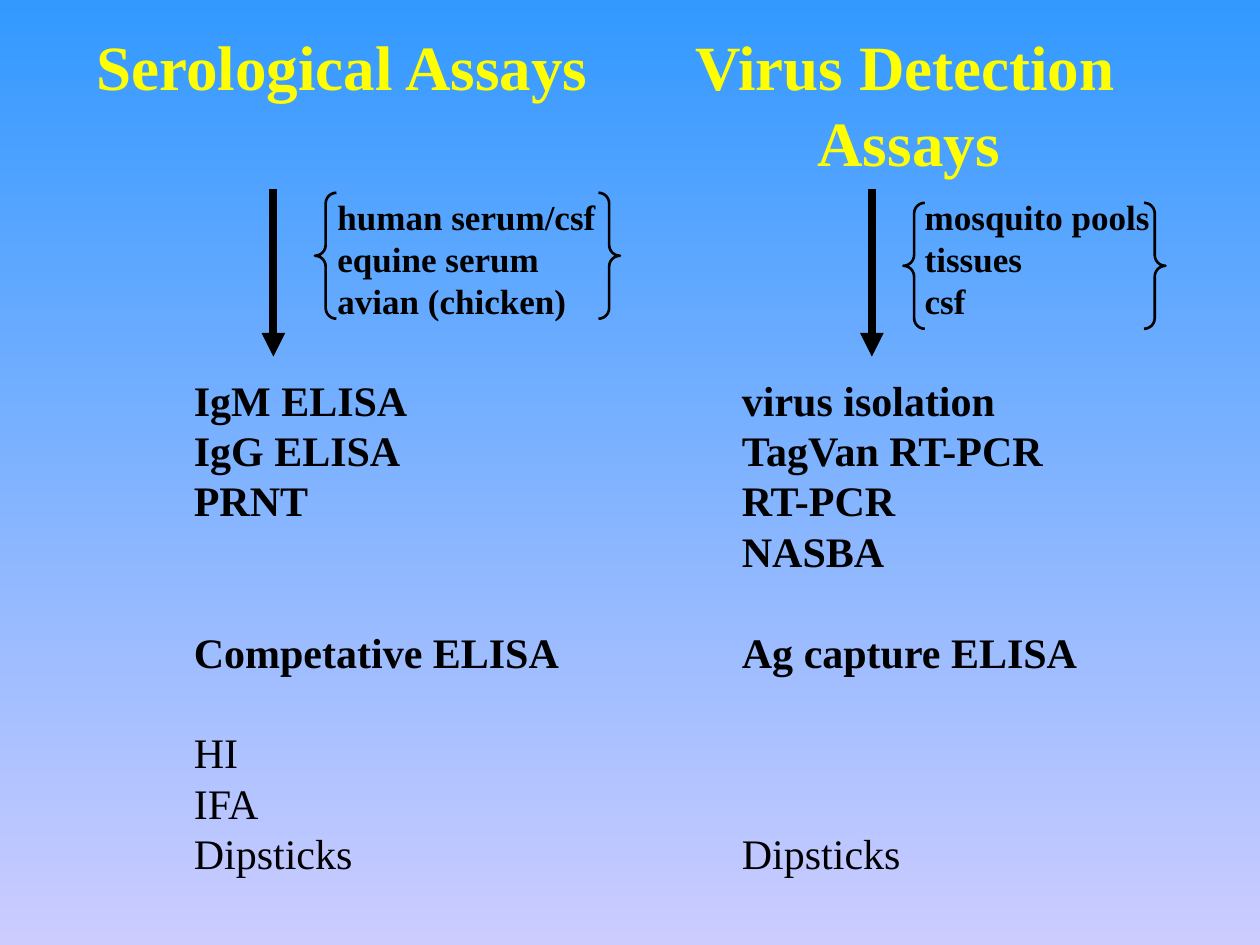
from pptx import Presentation
from pptx.dml.color import RGBColor
from pptx.enum.shapes import MSO_CONNECTOR, MSO_SHAPE
from pptx.enum.text import MSO_AUTO_SIZE
from pptx.oxml.ns import qn
from pptx.util import Inches, Pt
from lxml.etree import SubElement

BLACK, YELLOW = "000000", "FFFF00"
SKY, LILAC = "3399FF", "CCCCFF"
LINE_PITCH = 1.2
TEXT_TOP = {"heading": 0.17, "samples": 1.5, "assays": 2.92}
FORMATS = {
    "heading": {"size": Pt(36), "bold": True, "color": YELLOW},
    "samples": {"size": Pt(20), "bold": True, "color": BLACK},
    "assays": {"size": Pt(24), "bold": True, "color": BLACK},
}
ARROW_TOP, ARROW_BOTTOM = 1.5, 2.83
BRACE_WIDTH, BRACE_HEIGHT = 0.17, 1

# Each text is (left, width, lines); a line is (row, text) with optional format values
COLUMNS = [
    {
        "heading": (0.67, 4.13, [(0, "Serological Assays")]),
        "samples": (2.58, 2.25, [(0, "human serum/csf"), (1, "equine serum"),
                                 (2, "avian (chicken)")]),
        "assays": (1.44, 3.1, [(0, "IgM ELISA"), (1, "IgG ELISA"), (2, "PRNT"),
                               (5, "Competative ELISA"),
                               (7, "HI", {"bold": False}),
                               (8, "IFA", {"bold": False}),
                               (9, "Dipsticks", {"bold": False})]),
        "arrow": 2.17, "braces": (2.5, 4.75), "brace_top": 1.53,
    },
    {
        "heading": (5.42, 3.54, [(0, "Virus Detection"),
                                 (1, "Assays", {"indent": 0.97})]),
        "samples": (7.24, 2.05, [(0, "mosquito pools"), (1, "tissues"), (2, "csf")]),
        "assays": (5.79, 2.86, [(0, "virus isolation"), (1, "TagVan RT-PCR"),
                                (2, "RT-PCR"), (3, "NASBA"),
                                (5, "Ag capture ELISA"),
                                (9, "Dipsticks", {"bold": False})]),
        "arrow": 6.92, "braces": (7.17, 9.08), "brace_top": 1.61,
    },
]


def rgb(value):
    return RGBColor.from_string(value)


def add_text(slide, kind, left, width, lines):
    base = FORMATS[kind]
    pitch = base["size"].pt * LINE_PITCH
    row_count = lines[-1][0] + 1
    box = slide.shapes.add_textbox(Inches(left), Inches(TEXT_TOP[kind]), Inches(width),
                                   Inches(0.1 + row_count * pitch / 72))
    frame = box.text_frame
    frame.word_wrap = False
    frame.auto_size = MSO_AUTO_SIZE.SHAPE_TO_FIT_TEXT
    next_row = 0
    for row, text, *extra in lines:
        style = {**base, **(extra[0] if extra else {})}
        paragraph = frame.add_paragraph() if next_row else frame.paragraphs[0]
        if "indent" in style:
            properties = paragraph._p.get_or_add_pPr()
            properties.set("marL", str(Inches(style["indent"])))
            properties.set("indent", "0")
        paragraph.line_spacing = Pt(pitch)
        paragraph.space_before = Pt((row - next_row) * pitch)
        run = paragraph.add_run()
        run.text = text
        run.font.name = "Times New Roman"
        for name in ("size", "bold"):
            setattr(run.font, name, style[name])
        run.font.color.rgb = rgb(style["color"])
        next_row = row + 1


def add_brace(slide, preset, left, top):
    brace = slide.shapes.add_shape(preset, Inches(left), Inches(top),
                                   Inches(BRACE_WIDTH), Inches(BRACE_HEIGHT))
    brace.shadow.inherit = False
    brace.adjustments[0] = 0.5
    brace.fill.background()
    brace.line.color.rgb = rgb(BLACK)
    brace.line.width = Pt(1.5)


def add_arrow(slide, x):
    arrow = slide.shapes.add_connector(MSO_CONNECTOR.STRAIGHT, Inches(x), Inches(ARROW_TOP),
                                       Inches(x), Inches(ARROW_BOTTOM))
    arrow.line.color.rgb = rgb(BLACK)
    arrow.line.width = Pt(4.5)
    SubElement(arrow.line._get_or_add_ln(), qn("a:tailEnd"), type="triangle")
    SubElement(arrow._element.spPr, qn("a:effectLst"))


presentation = Presentation()
presentation.slide_width, presentation.slide_height = Inches(10), Inches(7.5)
slide = presentation.slides.add_slide(presentation.slide_layouts[6])

# Background, blue at the top to lilac at the bottom
background = slide.background.fill
background.gradient()
background.gradient_angle = 270
for stop, position, color in zip(background.gradient_stops, (0, 1), (SKY, LILAC)):
    stop.position = position
    stop.color.rgb = rgb(color)

# Assay columns
for column in COLUMNS:
    for kind in FORMATS:
        add_text(slide, kind, *column[kind])
    for preset, left in zip((MSO_SHAPE.LEFT_BRACE, MSO_SHAPE.RIGHT_BRACE), column["braces"]):
        add_brace(slide, preset, left, column["brace_top"])
    add_arrow(slide, column["arrow"])

presentation.save("out.pptx")
